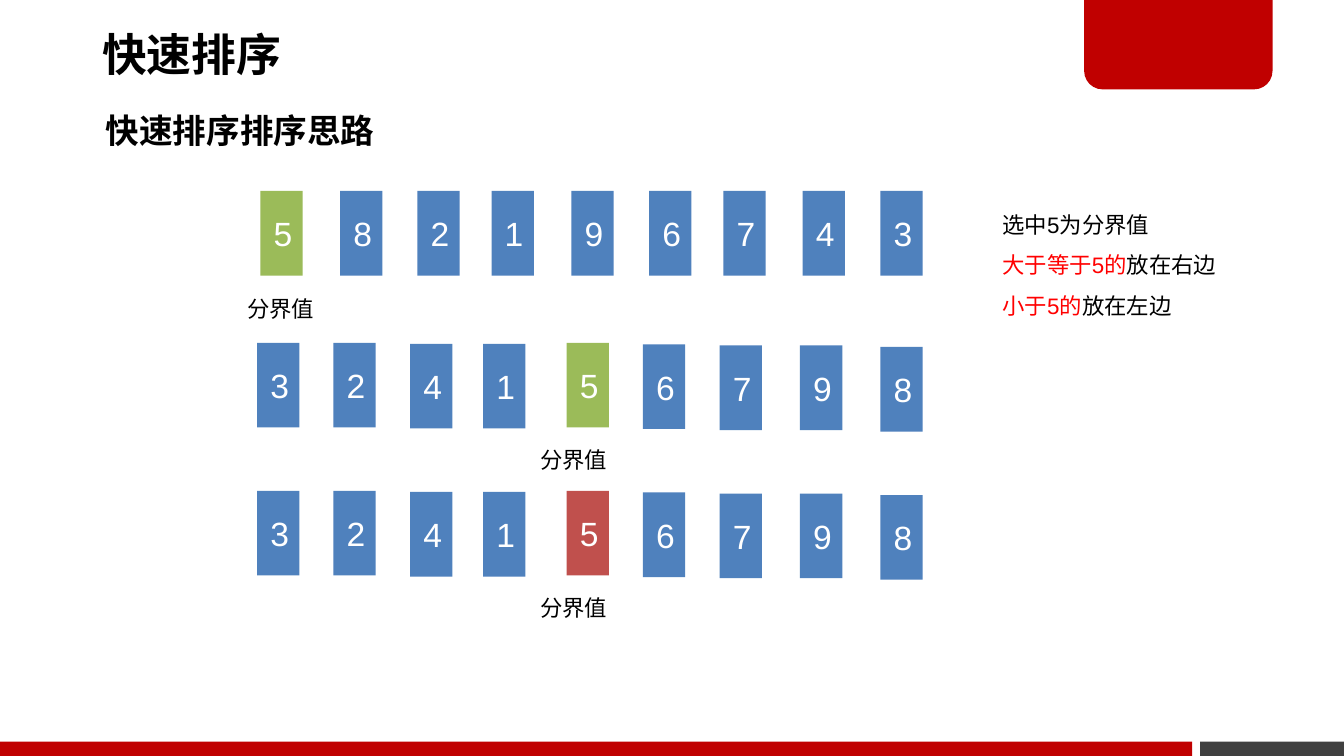
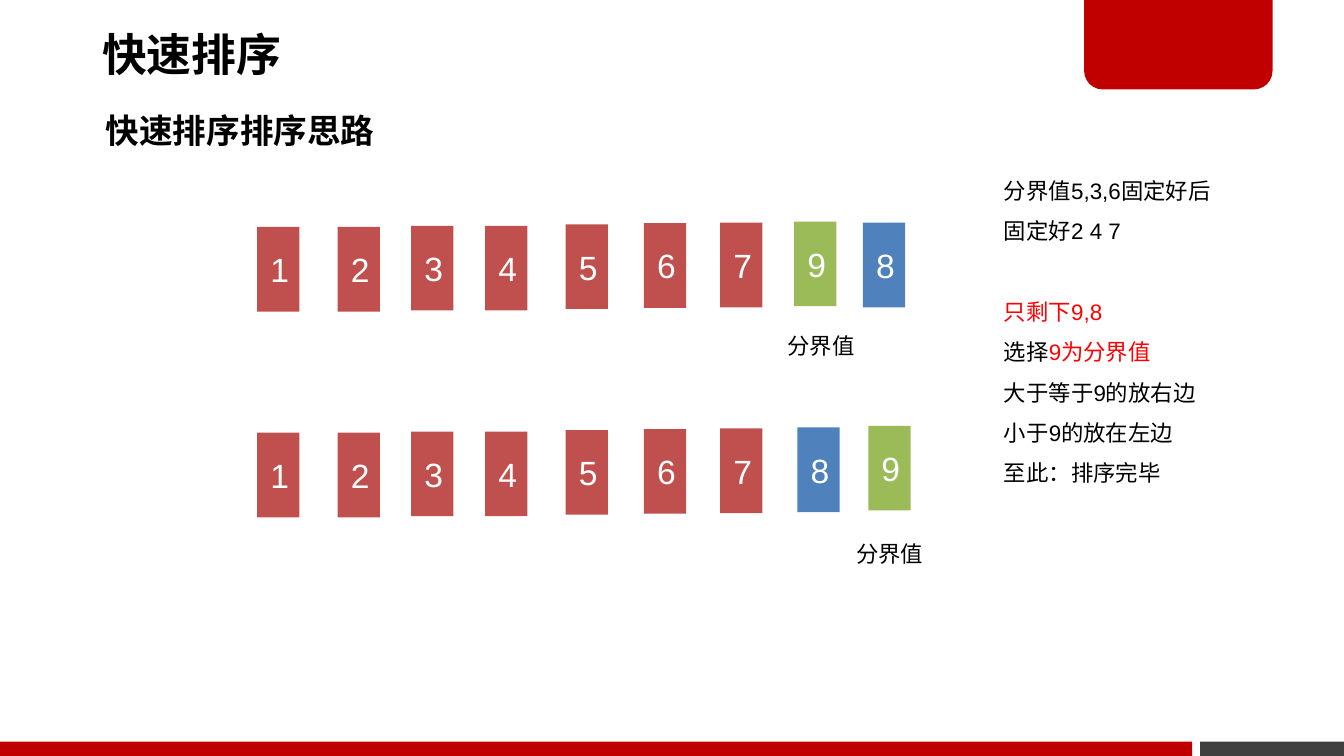
from lxml.etree import SubElement
from pptx import Presentation
from pptx.dml.color import RGBColor
from pptx.enum.shapes import MSO_SHAPE
from pptx.enum.text import MSO_ANCHOR, MSO_AUTO_SIZE, PP_ALIGN
from pptx.oxml.ns import qn
from pptx.util import Cm, Pt

BLACK, WHITE, GREY = "000000", "FFFFFF", "404040"
BAND_RED, TEXT_RED = "C00000", "FF0000"
WAITING, PIVOT, SETTLED = "4F81BD", "9BBB59", "C0504D"

FIXED = {"auto_size": MSO_AUTO_SIZE.NONE, "word_wrap": True,
         "vertical_anchor": MSO_ANCHOR.MIDDLE}
GROWING = {"auto_size": MSO_AUTO_SIZE.SHAPE_TO_FIT_TEXT, "word_wrap": False,
           "vertical_anchor": MSO_ANCHOR.TOP}
TITLE_FRAME = {**FIXED, "margin_left": Cm(0.18), "margin_right": Cm(0.18),
               "margin_top": Cm(0.1), "margin_bottom": Cm(0.1)}
NOTE_FRAME = {**GROWING, "word_wrap": True}

LEFT = {"alignment": PP_ALIGN.LEFT}
CENTRED = {"alignment": PP_ALIGN.CENTER}
TITLE_PARA = {**LEFT, "line_spacing": 0.9}
NOTE_PARA = {**LEFT, "line_spacing": 1.5, "space_before": Pt(0)}

TITLE_FONT = {"name": "Arial", "size": Pt(24), "bold": True}
SUBTITLE_FONT = {**TITLE_FONT, "size": Pt(18)}
CARD_FONT = {"name": "Arial", "size": Pt(18)}
SMALL_FONT = {"name": "Arial", "size": Pt(12)}


def paint(fill, colour):
    fill.solid()
    fill.fore_color.rgb = RGBColor.from_string(colour)


def write(box, lines, frame_format, para_format, font_format):
    frame = box.text_frame
    for name, value in frame_format.items():
        setattr(frame, name, value)
    for number, line in enumerate(lines):
        para = frame.add_paragraph() if number else frame.paragraphs[0]
        for name, value in para_format.items():
            setattr(para, name, value)
        for text, colour in line:
            span = para.add_run()
            span.text = text
            for name, value in font_format.items():
                setattr(span.font, name, value)
            paint(span.font.fill, colour)


FIRST_LEFTS = [4.92, 6.43, 7.89, 9.29, 10.8, 12.27, 13.67, 15.17, 16.64]
SPLIT_LEFTS = [4.86, 6.3, 7.75, 9.13, 10.71, 12.15, 13.6, 15.12, 16.64]
FINAL_LEFTS = [4.86, 6.38, 7.77, 9.17, 10.69, 12.17, 13.61]
SPLIT_DROPS = [0, 0, 0.02, 0.02, 0, 0.03, 0.05, 0.05, 0.08]
FINAL_DROPS = [0.1, 0.1, 0.08, 0.08, 0.05, 0.03, 0.02]

slides = [
    {
        "rows": [
            ("582196743", [PIVOT] + [WAITING] * 8,
             FIRST_LEFTS, 3.61, [0] * 9, (4.42, 5.46)),
            ("324156798", [WAITING] * 4 + [PIVOT] + [WAITING] * 4,
             SPLIT_LEFTS, 6.48, SPLIT_DROPS, (9.96, 8.31)),
            ("324156798", [WAITING] * 4 + [SETTLED] + [WAITING] * 4,
             SPLIT_LEFTS, 9.28, SPLIT_DROPS, (9.96, 11.1)),
        ],
        "note_place": (18.69, 3.61, 5.97, 2.49),
        "note": [
            [("选中5为分界值", BLACK)],
            [("大于等于5的", TEXT_RED), ("放在右边", BLACK)],
            [("小于5的", TEXT_RED), ("放在左边", BLACK)],
        ],
    },
    {
        "rows": [
            ("123456798", [SETTLED] * 7 + [PIVOT, WAITING],
             FINAL_LEFTS + [15.01, 16.31], 4.19,
             FINAL_DROPS + [0, 0.02], (14.63, 6.15)),
            ("123456789", [SETTLED] * 7 + [WAITING, PIVOT],
             FINAL_LEFTS + [15.07, 16.41], 8.08,
             FINAL_DROPS + [0, -0.03], (15.93, 10.08)),
        ],
        "note_place": (18.72, 2.97, 5.97, 7.11),
        "note": [
            [("分界值5,3,6固定好后", BLACK)],
            [("固定好2 4 7", BLACK)],
            [("只剩下9,8", TEXT_RED)],
            [("选择", BLACK), ("9为分界值", TEXT_RED)],
            [("大于等于9的放右边", BLACK)],
            [("小于9的放在左边", BLACK)],
            [("至此：排序完毕", BLACK)],
        ],
        "gap_before": 2,
    },
]

deck = Presentation()
deck.slide_width, deck.slide_height = Cm(25.4), Cm(14.29)
layout = deck.slide_layouts[1]
pages = [deck.slides.add_slide(layout) for _ in slides]

for preset, colour, place in [
    (MSO_SHAPE.RECTANGLE, GREY, (22.68, 14.02, 2.72, 0.27)),
    (MSO_SHAPE.ROUND_2_SAME_RECTANGLE, BAND_RED, (20.49, -0.05, 3.56, 1.74)),
    (MSO_SHAPE.RECTANGLE, BAND_RED, (0, 14.02, 22.53, 0.27)),
]:
    band = pages[0].shapes.add_shape(preset, *map(Cm, place))
    band.shadow.inherit = False
    paint(band.fill, colour)
    band.line.fill.background()
    if preset == MSO_SHAPE.ROUND_2_SAME_RECTANGLE:
        band.adjustments[0], band.adjustments[1] = 0, 0.2
    layout.shapes.element.append(band.element)

for page, content in zip(pages, slides):
    title, note = page.shapes.title, page.placeholders[1]
    for box, place in [(title, (1.75, -0.05, 14.96, 2.26)),
                       (note, content["note_place"])]:
        box.left, box.top, box.width, box.height = map(Cm, place)
    write(title, [[("快速排序", BLACK)]], TITLE_FRAME, TITLE_PARA, TITLE_FONT)

    subtitle = page.shapes.add_textbox(Cm(1.75), Cm(1.96), Cm(5.66), Cm(1.02))
    write(subtitle, [[("快速排序排序思路", BLACK)]], GROWING, LEFT, SUBTITLE_FONT)

    for digits, colours, lefts, top, drops, label_place in content["rows"]:
        for digit, colour, left, drop in zip(digits, colours, lefts, drops):
            card = page.shapes.add_shape(MSO_SHAPE.RECTANGLE, Cm(left),
                                         Cm(top + drop), Cm(0.8), Cm(1.6))
            card.shadow.inherit = False
            paint(card.fill, colour)
            card.line.fill.background()
            write(card, [[(digit, WHITE)]], FIXED, CENTRED, CARD_FONT)
        label = page.shapes.add_textbox(*map(Cm, label_place), Cm(1.8), Cm(0.77))
        write(label, [[("分界值", BLACK)]], GROWING, LEFT, SMALL_FONT)

    write(note, content["note"], NOTE_FRAME, NOTE_PARA, SMALL_FONT)
    for para in note.text_frame.paragraphs:
        settings = para._p.get_or_add_pPr()
        settings.set("marL", "0")
        settings.set("indent", "0")
        SubElement(settings, qn("a:buNone"))
    if "gap_before" in content:
        note.text_frame.paragraphs[content["gap_before"]].space_before = Pt(21.6)

deck.save("out.pptx")
